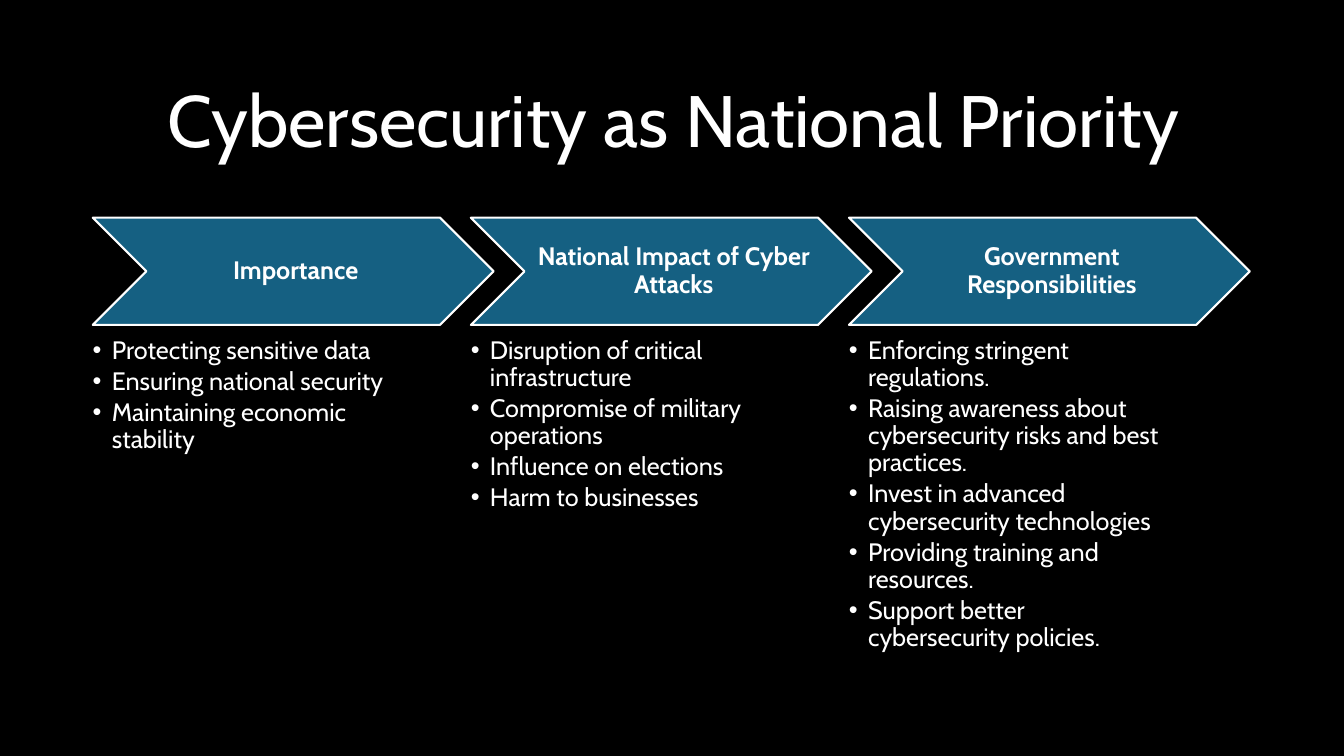
from pptx import Presentation
from pptx.dml.color import RGBColor
from pptx.enum.shapes import MSO_SHAPE as Shape
from pptx.enum.text import MSO_ANCHOR as Anchor, PP_ALIGN as Align
from pptx.oxml.ns import qn
from pptx.util import Inches, Pt
from lxml.etree import SubElement

BLACK = RGBColor(0x00, 0x00, 0x00)
WHITE = RGBColor(0xFF, 0xFF, 0xFF)
TEAL = RGBColor(0x15, 0x60, 0x82)

TITLE = "Cybersecurity as National Priority"
TOPICS = [
    ("Importance", [
        "Protecting sensitive data",
        "Ensuring national security",
        "Maintaining economic stability",
    ]),
    ("National Impact of Cyber Attacks", [
        "Disruption of critical infrastructure",
        "Compromise of military operations",
        "Influence on elections",
        "Harm to businesses",
    ]),
    ("Government Responsibilities", [
        "Enforcing stringent regulations.",
        "Raising awareness about cybersecurity risks and best practices.",
        "Invest in advanced cybersecurity technologies",
        "Providing training and resources.",
        "Support better cybersecurity policies.",
    ]),
]


class TopicPage:
    """A slide on a grid; positions and sizes are in columns and rows."""

    FONT = "Cabin"
    BODY_SIZE = 18
    MARGIN, COLUMN, ROW = 0.92, 3.75, 0.54
    INDENT = Inches(0.19)

    def __init__(self, deck):
        self.page = deck.slides.add_slide(deck.slide_layouts[6])
        fill = self.page.background.fill
        fill.solid()
        fill.fore_color.rgb = BLACK

    def place(self, column, row, columns, rows):
        """Turn grid units into left, top, width and height."""
        return (Inches(self.MARGIN + column * self.COLUMN), Inches(row * self.ROW),
                Inches(columns * self.COLUMN), Inches(rows * self.ROW))

    def set_text(self, shape, lines, size, anchor, align, insets, bold=False, after=0):
        frame = shape.text_frame
        frame.word_wrap = True
        frame.vertical_anchor = anchor
        (frame.margin_left, frame.margin_top,
         frame.margin_right, frame.margin_bottom) = map(Inches, insets)
        frame.text = "\n".join(lines)
        for para in frame.paragraphs:
            para.alignment = align
            para.line_spacing = 0.9
            para.space_after = Pt(after)
            for span in para.runs:
                span.font.name = self.FONT
                span.font.size = Pt(size)
                span.font.bold = bold
                span.font.color.rgb = WHITE
        return frame.paragraphs

    def title(self, text, *cell):
        box = self.page.shapes.add_textbox(*self.place(*cell))
        self.set_text(box, [text], 52, Anchor.MIDDLE, Align.CENTER, (0.1, 0.05, 0.1, 0.05))

    def chevron(self, text, *cell):
        shape = self.page.shapes.add_shape(Shape.CHEVRON, *self.place(*cell))
        shape.shadow.inherit = False
        shape.fill.solid()
        shape.fill.fore_color.rgb = TEAL
        shape.line.color.rgb = WHITE
        shape.line.width = Pt(1.5)
        self.set_text(shape, [text], self.BODY_SIZE, Anchor.MIDDLE, Align.CENTER,
                      (0.08, 0.03, 0.03, 0.03), bold=True)

    def bullets(self, lines, *cell):
        box = self.page.shapes.add_textbox(*self.place(*cell))
        paras = self.set_text(box, lines, self.BODY_SIZE, Anchor.TOP, Align.LEFT,
                              (0, 0, 0, 0), after=0.15 * self.BODY_SIZE)
        for para in paras:
            para.level = 1
            properties = para._p.get_or_add_pPr()
            properties.set("marL", str(self.INDENT))
            properties.set("indent", str(-self.INDENT))
            SubElement(properties, qn("a:buFont"), typeface="Arial")
            SubElement(properties, qn("a:buChar"), char="•")


def main():
    deck = Presentation()
    deck.slide_width, deck.slide_height = Inches(13.33), Inches(7.5)
    page = TopicPage(deck)
    page.title(TITLE, 0, 1.13, 3.07, 2.3)
    for column, (heading, points) in enumerate(TOPICS):
        page.chevron(heading, column, 4, 1.06, 1.97)
        page.bullets(points, column, 6.2, 0.85, 6.02)
    deck.save("out.pptx")


if __name__ == "__main__":
    main()
